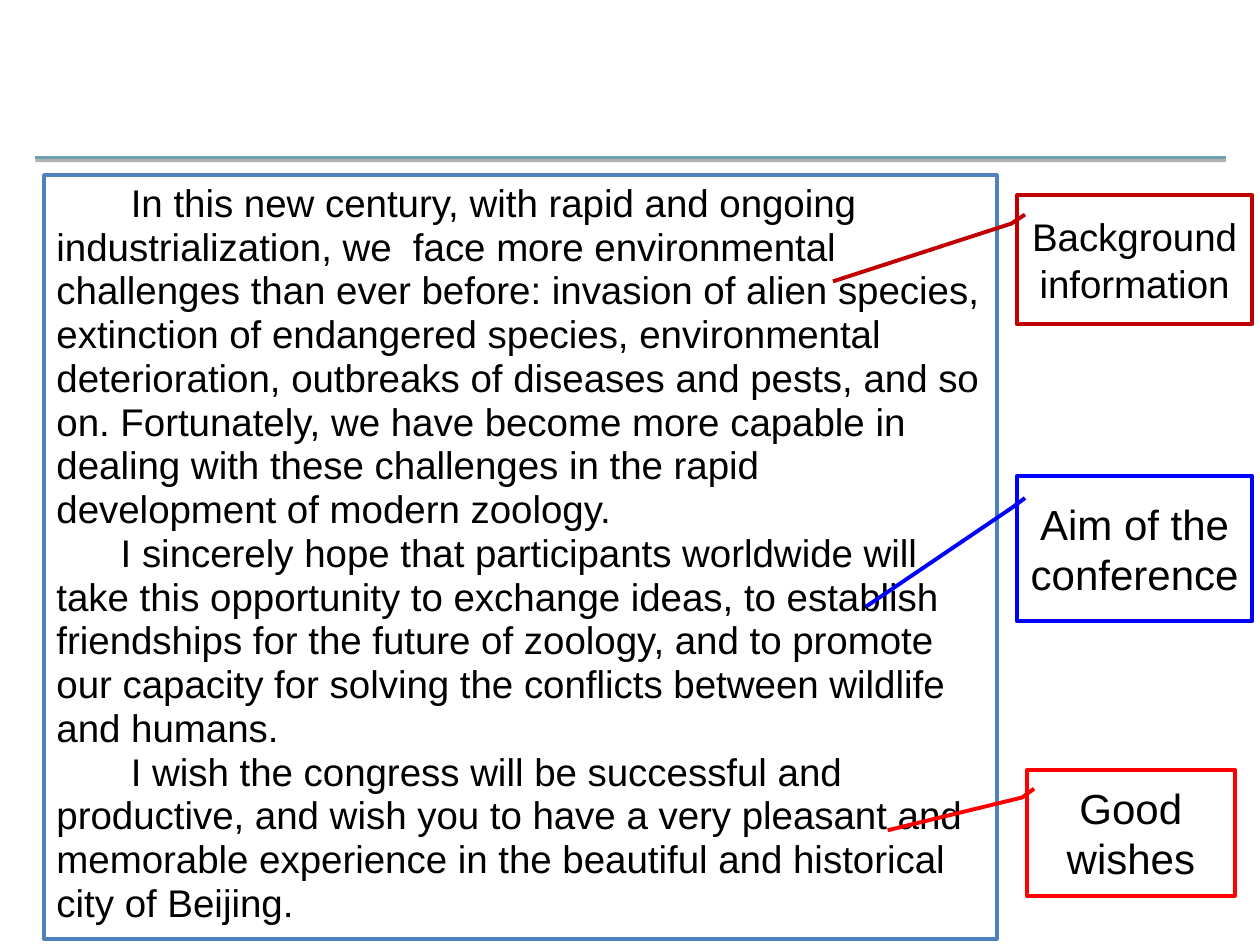
from lxml.etree import SubElement
from pptx import Presentation
from pptx.dml.color import RGBColor
from pptx.enum.shapes import MSO_CONNECTOR, MSO_SHAPE
from pptx.enum.text import MSO_ANCHOR, PP_ALIGN
from pptx.oxml.ns import qn
from pptx.util import Inches, Pt

# Content: (first-line indent, text)
SPEECH = [
    (0.59, "In this new century, with rapid and ongoing industrialization, we  face more "
           "environmental challenges than ever before: invasion of alien species, extinction "
           "of endangered species, environmental deterioration, outbreaks of diseases and "
           "pests, and so on. Fortunately, we have become more capable in dealing with these "
           "challenges in the rapid development of modern zoology."),
    (0.51, "I sincerely hope that participants worldwide will take this opportunity to "
           "exchange ideas, to establish friendships for the future of zoology, and to "
           "promote our capacity for solving the conflicts between wildlife and humans."),
    (0.59, "I wish the congress will be successful and productive, and wish you to have a "
           "very pleasant and memorable experience in the beautiful and historical city of "
           "Beijing."),
]
# Callouts: text, place, font size, colour, pointer tip (down, across) as shares of the box
CALLOUTS = [
    ("Background information", (8.07, 1.55, 1.87, 1.02), 22, "C00000", (0.67, -0.78)),
    ("Aim of the conference", (8.07, 3.78, 1.87, 1.15), 24, "0000FF", (0.9, -0.64)),
    ("Good wishes", (8.15, 6.11, 1.65, 1), 24, "FF0000", (0.48, -0.67)),
]
POINTER_START = (0.15, 0.035, 0.22, -0.023)
SPEECH_PLACE = (0.35, 1.39, 7.56, 6.06)
RULE = (0.28, 1.25, 9.73, 1.25)


def color(value):
    return RGBColor.from_string(value)


def set_all(target, values):
    for name, value in values.items():
        setattr(target, name, value)


def outlined_box(page, kind, place, line_color):
    box = page.shapes.add_shape(kind, *map(Inches, place))
    box.shadow.inherit = False
    box.fill.background()
    box.line.color.rgb = color(line_color)
    box.line.width = Pt(2.25)
    box.text_frame.word_wrap = True
    return box


def write(para, text, size, **layout):
    set_all(para, layout)
    span = para.add_run()
    span.text = text
    set_all(span.font, {"name": "Arial", "size": Pt(size)})
    span.font.color.rgb = color("000000")


def add_rule(page):
    rule = page.shapes.add_connector(MSO_CONNECTOR.STRAIGHT, *map(Inches, RULE))
    rule.line.color.rgb = color("6EA0B0")
    rule.line.width = Pt(2)
    # Soft grey shadow straight below the rule
    effects = SubElement(rule._element.spPr, qn("a:effectLst"))
    shadow = SubElement(effects, qn("a:outerShdw"), blurRad="0", dist=str(Pt(1.6)),
                        dir="5400000", rotWithShape="0")
    shade = SubElement(shadow, qn("a:srgbClr"), val="000000")
    SubElement(shade, qn("a:alpha"), val="30000")


def add_speech(page):
    box = outlined_box(page, MSO_SHAPE.RECTANGLE, SPEECH_PLACE, "4F81BD")
    frame = box.text_frame
    frame.vertical_anchor = MSO_ANCHOR.TOP
    for number, (indent, text) in enumerate(SPEECH):
        para = frame.add_paragraph() if number else frame.paragraphs[0]
        write(para, text, 22, alignment=PP_ALIGN.LEFT, line_spacing=Pt(25))
        para._p.get_or_add_pPr().set("indent", str(Inches(indent)))


def add_callout(page, text, place, size, line_color, tip):
    box = outlined_box(page, MSO_SHAPE.LINE_CALLOUT_2, place, line_color)
    for number, value in enumerate(POINTER_START + tip):
        box.adjustments[number] = value
    box.text_frame.vertical_anchor = MSO_ANCHOR.MIDDLE
    write(box.text_frame.paragraphs[0], text, size, alignment=PP_ALIGN.CENTER)


def main():
    deck = Presentation()
    set_all(deck, {"slide_width": Inches(10), "slide_height": Inches(7.5)})
    page = deck.slides.add_slide(deck.slide_layouts[6])
    add_rule(page)
    add_speech(page)
    for callout in CALLOUTS:
        add_callout(page, *callout)
    deck.save("out.pptx")


if __name__ == "__main__":
    main()
